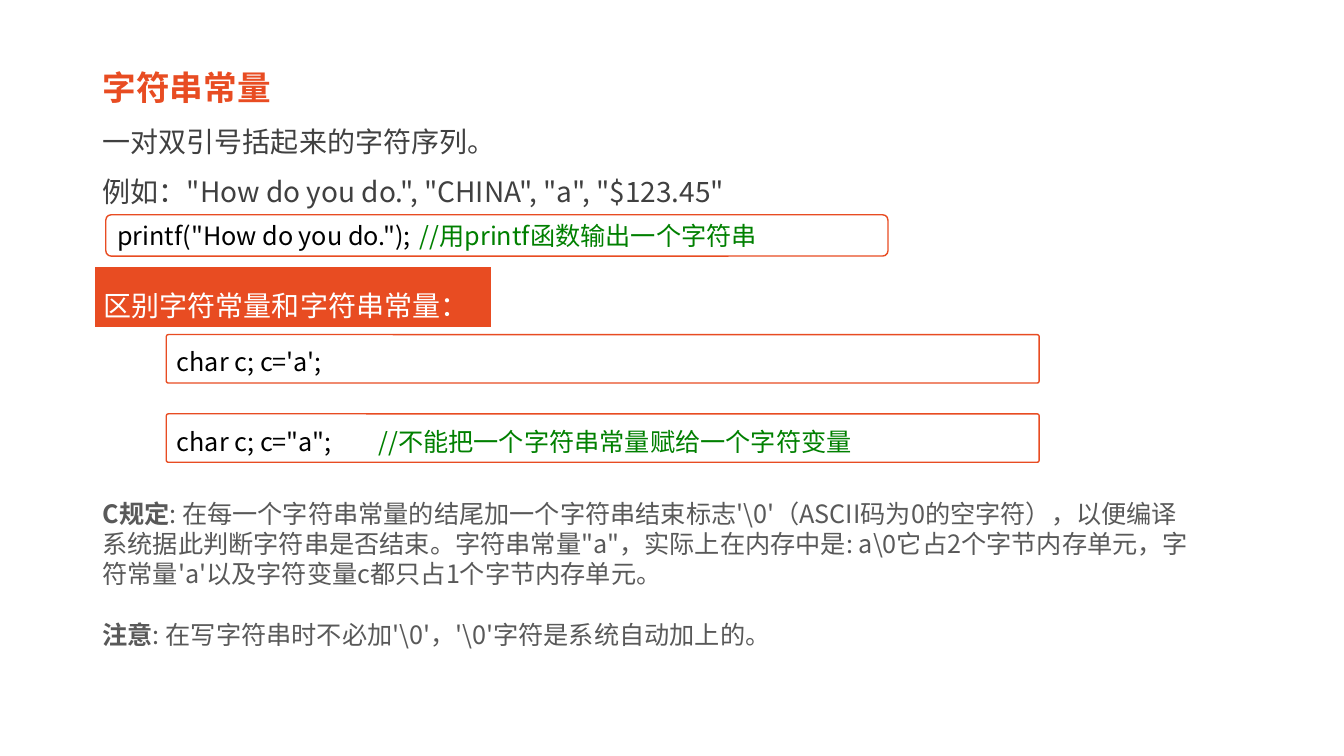
from pptx import Presentation
from pptx.dml.color import RGBColor
from pptx.enum.shapes import MSO_SHAPE
from pptx.enum.text import MSO_ANCHOR, PP_ALIGN
from pptx.oxml.ns import qn
from pptx.util import Pt
from lxml import etree

FONT = "Noto Sans CJK SC"
WHITE = RGBColor(0xFF, 0xFF, 0xFF)
BLACK = RGBColor(0, 0, 0)
ORANGE = RGBColor(0xE8, 0x4C, 0x22)
GREEN = RGBColor(0, 0x80, 0)
DARK = RGBColor(0x40, 0x40, 0x40)
GRAY = RGBColor(0x59, 0x59, 0x59)
ROUND, RECT = MSO_SHAPE.ROUNDED_RECTANGLE, MSO_SHAPE.RECTANGLE
LEFT, JUST = PP_ALIGN.LEFT, PP_ALIGN.JUSTIFY
MIDDLE, TOP = MSO_ANCHOR.MIDDLE, MSO_ANCHOR.TOP


def add_text(para, text, size=18, color=BLACK, bold=False):
    """Append one run in the slide font."""
    run = para.add_run()
    run.text = text
    font = run.font
    font.name, font.size, font.bold = FONT, Pt(size), bold
    font.color.rgb = color
    east = etree.SubElement(font._element, qn("a:ea"))
    east.set("typeface", FONT)


def fill_frame(frame, paras, anchor=MIDDLE, align=LEFT, lines=1.0, gap=0):
    """Write paragraphs, each a list of (text, format) runs."""
    frame.word_wrap = True
    frame.vertical_anchor = anchor
    for i, runs in enumerate(paras):
        para = frame.add_paragraph() if i else frame.paragraphs[0]
        para.alignment, para.line_spacing = align, lines
        para.space_before = Pt(gap if i else 0)
        for text, style in runs:
            add_text(para, text, **style)


def add_box(slide, kind, place, runs, fill=WHITE, line=ORANGE, width=1,
            curve=None, **style):
    box = slide.shapes.add_shape(kind, *map(Pt, place))
    box.shadow.inherit = False
    box.fill.solid()
    box.fill.fore_color.rgb = fill
    box.line.color.rgb = line
    box.line.width = Pt(width)
    if curve is not None:
        box.adjustments[0] = curve
    fill_frame(box.text_frame, [runs], **style)


def add_title(slide):
    title = slide.shapes.title
    title.left, title.top = Pt(66.2), Pt(38.9)
    title.width, title.height = Pt(830.9), Pt(104.4)
    plain = dict(size=20, color=DARK)
    fill_frame(title.text_frame, [
        [("字符串常量", dict(size=24, color=ORANGE, bold=True))],
        [("一对双引号括起来的字符序列。", plain)],
        [("例如：\"How do you do.\", \"CHINA\", \"a\", \"$123.45\"", plain)],
    ], lines=1.5)


def add_notes(slide):
    box = slide.shapes.add_textbox(Pt(66.2), Pt(352.1), Pt(796.3), Pt(116.6))
    plain = dict(color=GRAY)
    strong = dict(color=GRAY, bold=True)
    fill_frame(box.text_frame, [
        [("C规定", strong),
         (": 在每一个字符串常量的结尾加一个字符串结束标志'\\0'"
          "（ASCII码为0的空字符），以便编译系统据此判断字符串是否结束。"
          "字符串常量\"a\"，实际上在内存中是: a\\0它占2个字节内存单元，"
          "字符常量'a'以及字符变量c都只占1个字节内存单元。", plain)],
        [("注意", strong),
         (": 在写字符串时不必加'\\0'，'\\0'字符是系统自动加上的。", plain)],
    ], anchor=TOP, gap=21.6)


def main():
    deck = Presentation()
    deck.slide_width, deck.slide_height = Pt(960), Pt(540)
    slide = deck.slides.add_slide(deck.slide_layouts[5])
    code, remark = dict(color=BLACK), dict(color=GREEN)

    # Definition and sample call
    add_title(slide)
    add_box(slide, ROUND, (75.6, 153.4, 558.7, 29.5), [
        ("printf(\"How do you do.\");\t", code),
        ("//用printf函数输出一个字符串", remark)], curve=0.129)

    # Section label
    add_box(slide, RECT, (67, 190.1, 284.4, 43.9), [
        ("区别字符常量和字符串常量：", dict(size=20, color=WHITE))],
        fill=ORANGE, line=WHITE, width=1.5, lines=1.5)

    # Right and wrong assignment
    samples = [
        [("char c; c='a';", code)],
        [("char c; c=\"a\";\t", code),
         ("//不能把一个字符串常量赋给一个字符变量", remark)]]
    for i, runs in enumerate(samples):
        add_box(slide, ROUND, (118.8, 239 + 56.6 * i, 623.5, 34.6), runs,
                curve=0.045, align=JUST, lines=1.2)

    # Rules
    add_notes(slide)
    deck.save("out.pptx")


if __name__ == "__main__":
    main()
